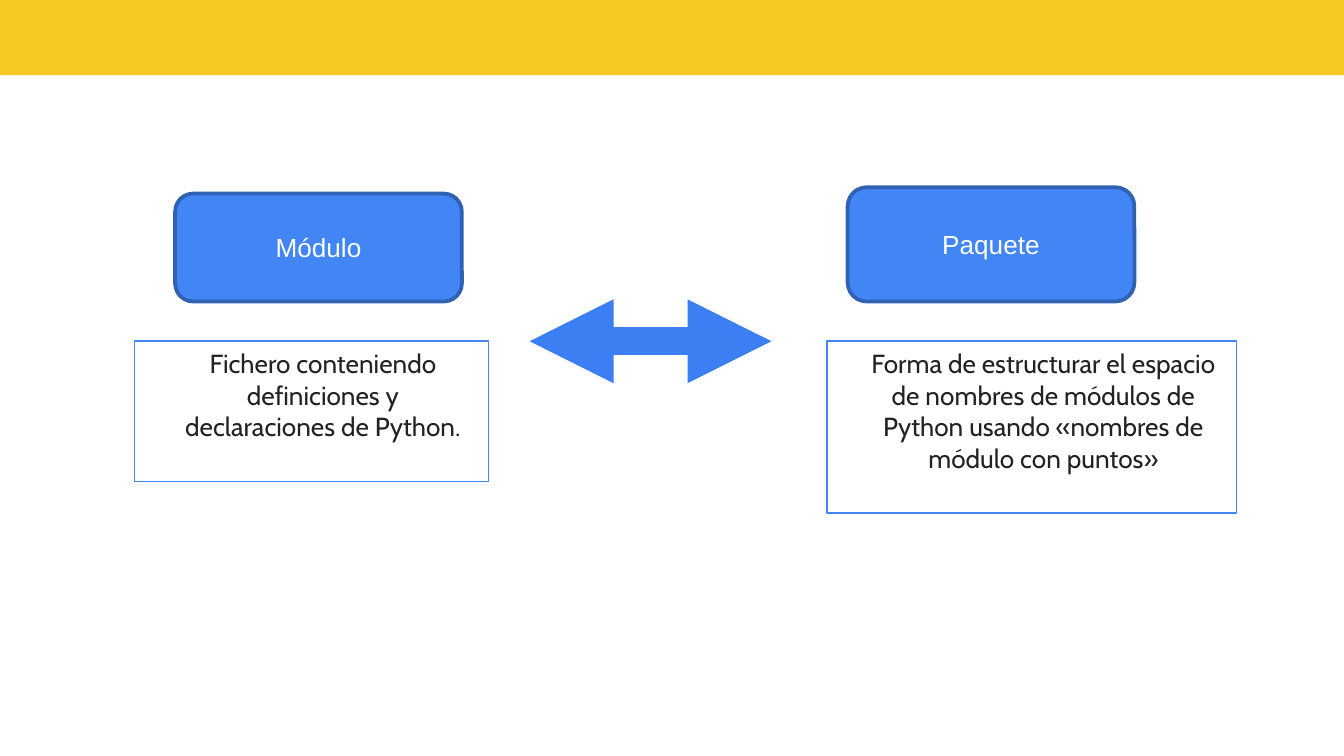
"""Build a slide comparing a Python module with a package."""
import lxml.etree
import pptx
import pptx.dml.color
import pptx.enum.dml
import pptx.enum.shapes
import pptx.enum.text
import pptx.oxml.ns
import pptx.util
from dataclasses import dataclass

Cm = pptx.util.Cm
Shapes = pptx.enum.shapes.MSO_SHAPE
Anchor = pptx.enum.text.MSO_ANCHOR


@dataclass(frozen=True)
class Theme:
    band: str = "F8C823"
    label_fill: str = "4285F4"
    label_line: str = "3061B2"
    label_text: str = "FFFFFF"
    body_text: str = "222222"
    arrow: str = "3B7FF2"
    label_font: str = "Arial"
    body_font: str = "Cabin"
    text_size: int = 14


theme = Theme()


def color(value):
    return pptx.dml.color.RGBColor.from_string(value)


def add_box(slide, kind, bounds, fill=None, line=None, line_width=0):
    shape = slide.shapes.add_shape(kind, *(Cm(length) for length in bounds))
    shape.shadow.inherit = False
    if fill:
        shape.fill.solid()
        shape.fill.fore_color.rgb = color(fill)
    else:
        shape.fill.background()
    if line:
        shape.line.color.rgb = color(line)
        shape.line.width = pptx.util.Pt(line_width)
    else:
        shape.line.fill.background()
    return shape


presentation = pptx.Presentation()
presentation.slide_width = Cm(25.4)
presentation.slide_height = Cm(14.29)
slide = presentation.slides.add_slide(presentation.slide_layouts[6])

add_box(slide, Shapes.RECTANGLE, (0, 0, 25.4, 1.42), theme.band)

label_style = {"fill": theme.label_fill, "line": theme.label_line, "line_width": 2}
body_style = {"line": theme.label_fill, "line_width": 0.75}
label_format = {"name": theme.label_font, "color": theme.label_text,
                "anchor": Anchor.MIDDLE, "indent": 0}
body_format = {"name": theme.body_font, "color": theme.body_text,
               "anchor": Anchor.TOP, "indent": 0.44}
middle = 6.45

boxes = [
    (Shapes.ROUNDED_RECTANGLE, (3.31, 3.66, 5.42, 2.04), "Módulo",
     label_style, label_format),
    (Shapes.ROUNDED_RECTANGLE, (16.02, 3.54, 5.42, 2.16), "Paquete",
     label_style, label_format),
    (Shapes.RECTANGLE, (2.54, middle, 6.69, 2.65),
     "Fichero conteniendo definiciones y declaraciones de Python.",
     body_style, body_format),
    (Shapes.RECTANGLE, (15.63, middle, 7.74, 3.25),
     "Forma de estructurar el espacio de nombres de módulos de Python "
     "usando «nombres de módulo con puntos»",
     body_style, body_format),
]
for kind, bounds, text, style, text_format in boxes:
    shape = add_box(slide, kind, bounds, **style)
    frame = shape.text_frame
    frame.word_wrap = True
    frame.vertical_anchor = text_format["anchor"]
    paragraph = frame.paragraphs[0]
    paragraph.text = text
    paragraph.alignment = pptx.enum.text.PP_ALIGN.CENTER
    if text_format["indent"]:
        properties = paragraph._p.get_or_add_pPr()
        properties.set("marL", str(Cm(text_format["indent"])))
        properties.set("indent", "0")
    font = paragraph.runs[0].font
    font_values = {"name": text_format["name"], "size": pptx.util.Pt(theme.text_size)}
    for attribute, value in font_values.items():
        setattr(font, attribute, value)
    font.color.rgb = color(text_format["color"])

arrow = slide.shapes.add_connector(
    pptx.enum.shapes.MSO_CONNECTOR.STRAIGHT,
    Cm(10.01), Cm(middle), Cm(14.58), Cm(middle))
arrow.line.color.rgb = color(theme.arrow)
arrow.line.width = pptx.util.Pt(15)
arrow.line.dash_style = pptx.enum.dml.MSO_LINE.DASH
line_element = arrow.line._get_or_add_ln()
for end in ("a:headEnd", "a:tailEnd"):
    lxml.etree.SubElement(line_element, pptx.oxml.ns.qn(end), type="triangle")
lxml.etree.SubElement(arrow._element.spPr, pptx.oxml.ns.qn("a:effectLst"))

presentation.save("out.pptx")
